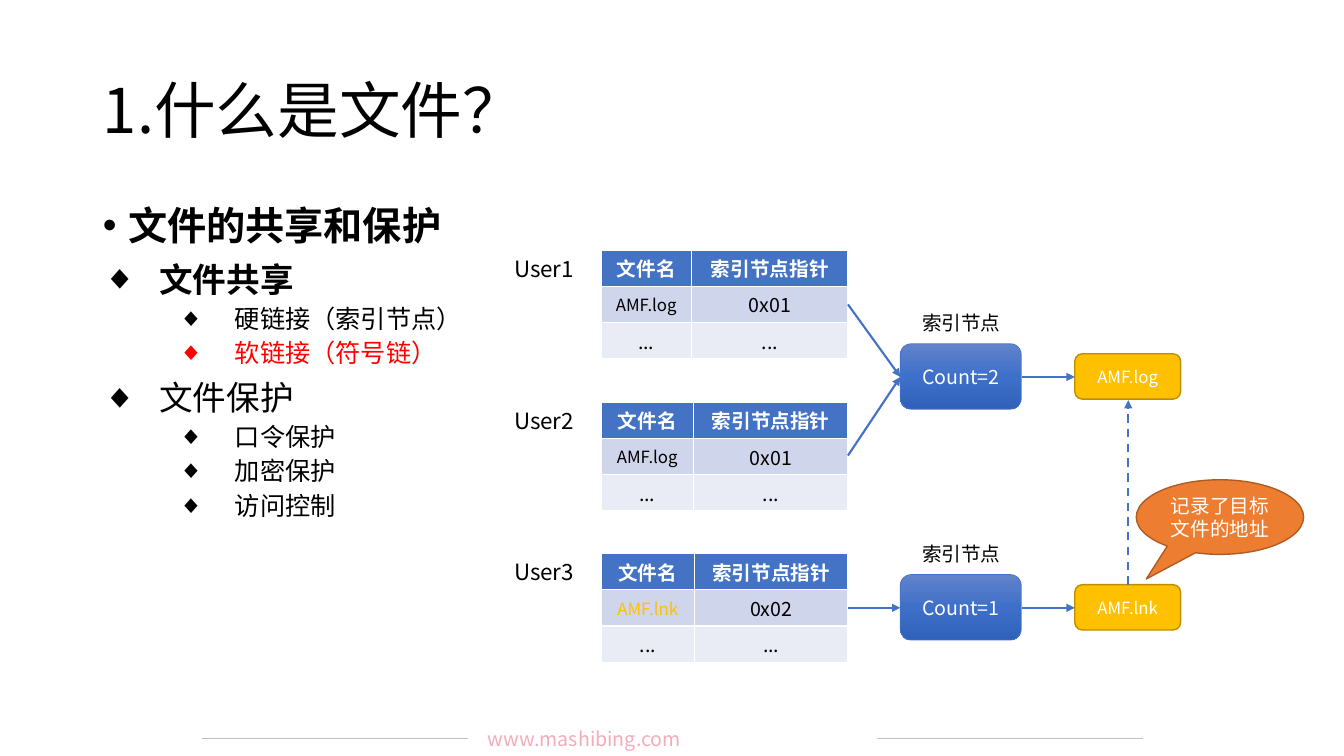
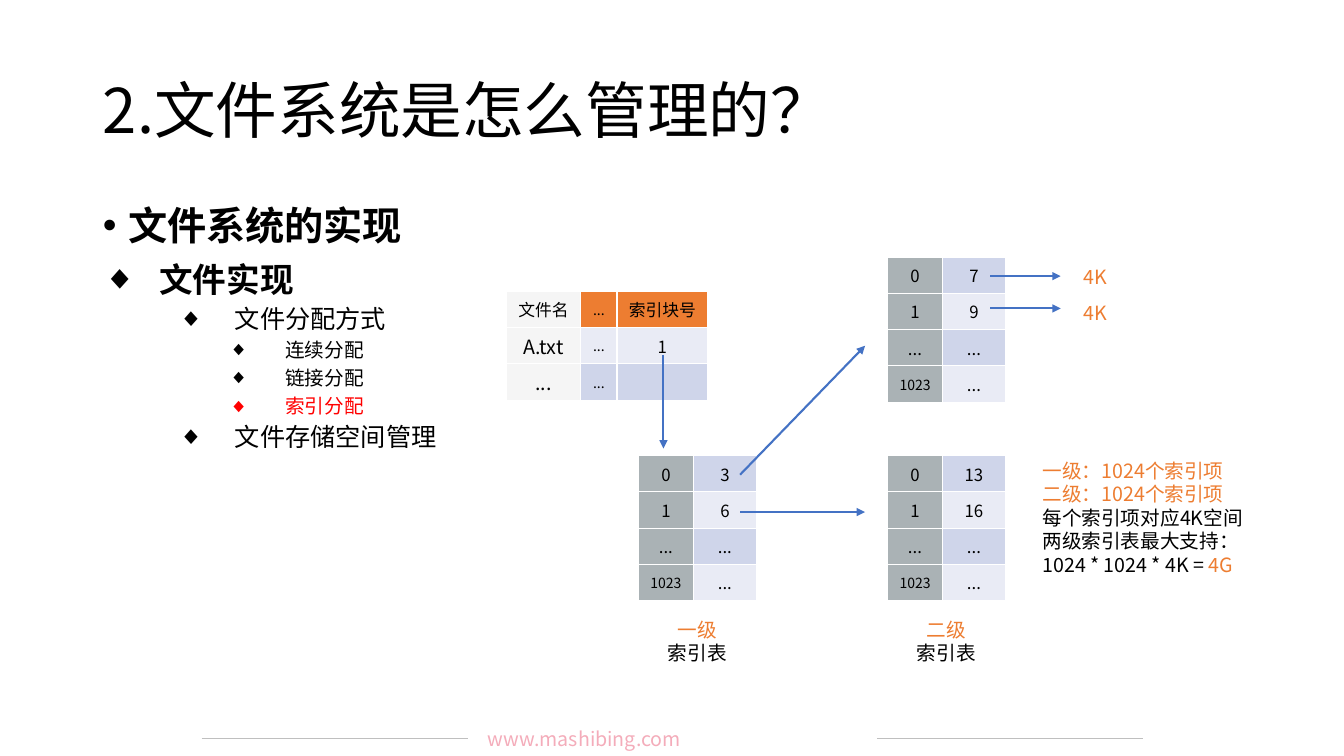
import copy
import lxml.etree
import pptx
import pptx.dml.color
import pptx.enum.dml
import pptx.enum.shapes
import pptx.enum.text
import pptx.oxml.ns
import pptx.util

FONT = "Noto Sans CJK SC"
HEX = {
    "black": "000000", "white": "FFFFFF", "red": "FF0000", "pink": "F4ACBA",
    "rule": "BFBFBF", "blue": "4472C4", "gold": "FFC000", "ochre": "BD8E00",
    "rust": "ED7D31", "brown": "AF5C24", "dark": "CFD5EA", "pale": "E9EBF5",
    "grey": "AAB2B5", "mist": "F5F5F5", "sky": "6183CB", "mid": "3E70CA",
    "deep": "3062BB",
}
ALIGN = pptx.enum.text.PP_ALIGN
SHAPE = pptx.enum.shapes.MSO_SHAPE
ROW = 0.36

# Content: lists hold (style, text, colour)
# style: level, size, bold, left indent, hanging indent, space before, bullet
STYLE = {
    "head": (0, 28, True, 0.25, 0.25, 10, "•"),
    "bold": (0, 24, True, 0.56, 0.56, 10, "◆"),
    "main": (1, 24, False, 0.56, 0.56, 10, "◆"),
    "sub": (1, 18, False, 1.31, 0.56, 5, "◆"),
    "leaf": (2, 14, False, 1.81, 0.56, 5, "◆"),
}
SHARE = [
    ("head", "文件的共享和保护", "black"),
    ("bold", "文件共享", "black"),
    ("sub", "硬链接（索引节点）", "black"),
    ("sub", "软链接（符号链）", "red"),
    ("main", "文件保护", "black"),
    ("sub", "口令保护", "black"),
    ("sub", "加密保护", "black"),
    ("sub", "访问控制", "black"),
]
BUILD = [
    ("head", "文件系统的实现", "black"),
    ("bold", "文件实现", "black"),
    ("sub", "文件分配方式", "black"),
    ("leaf", "连续分配", "black"),
    ("leaf", "链接分配", "black"),
    ("leaf", "索引分配", "red"),
    ("sub", "文件存储空间管理", "black"),
]
# user, top, first column width, file, colour, pointer
USERS = [
    ("User1", 2.48, 0.9, "AMF.log", "black", "0x01"),
    ("User2", 3.99, 0.92, "AMF.log", "black", "0x01"),
    ("User3", 5.49, 0.93, "AMF.lnk", "gold", "0x02"),
]
# count, file, middle height
NODES = [("Count=2", "AMF.log", 3.74), ("Count=1", "AMF.lnk", 6.03)]
# left, top, first two entries
INDEX = [(6.33, 4.52, "3", "6"), (8.8, 2.55, "7", "9"), (8.8, 4.52, "13", "16")]
LEVELS = [(6.49, "一级"), (8.96, "二级")]
LINKS = [
    (6.58, 3.52, 6.58, 4.45), (7.34, 4.71, 8.58, 3.43), (7.34, 5.08, 8.58, 5.08),
    (9.82, 2.74, 10.52, 2.74), (9.82, 3.06, 10.52, 3.06),
]
SUMS = [
    [("一级：1024个索引项", "rust")],
    [("二级：1024个索引项", "rust")],
    [("每个索引项对应4K空间", "black")],
    [("两级索引表最大支持：", "black")],
    [("1024 * 1024 * 4K = ", "black"), ("4G", "rust")],
]


def rgb(name):
    return pptx.dml.color.RGBColor.from_string(HEX[name])


def inch(*nums):
    return [pptx.util.Inches(n) for n in nums]


def tag(node, name, **attrs):
    return lxml.etree.SubElement(node, pptx.oxml.ns.qn(name), attrs)


def style(para, size, color, bold=False, align=ALIGN.LEFT):
    para.alignment = align
    font = para.font
    font.size, font.bold, font.name = pptx.util.Pt(size), bold, FONT
    font.color.rgb = rgb(color)
    tag(font._element if hasattr(font, "_element") else font._rPr, "a:ea", typeface=FONT)


def write(frame, lines, size, align=ALIGN.LEFT):
    """Each line is a list of (text, colour) runs."""
    frame.word_wrap = True
    for i, runs in enumerate(lines):
        para = frame.add_paragraph() if i else frame.paragraphs[0]
        style(para, size, runs[0][1], align=align)
        for text, color in runs:
            run = para.add_run()
            run.text = text
            if color != runs[0][1]:
                run.font.color.rgb = rgb(color)


def label(slide, box, lines, size=14, align=ALIGN.CENTER):
    shape = slide.shapes.add_textbox(*inch(*box))
    write(shape.text_frame, lines, size, align)
    return shape


def line(slide, ends, color="blue", width=1.5, arrow=True, dash=False):
    kind = pptx.enum.shapes.MSO_CONNECTOR.STRAIGHT
    link = slide.shapes.add_connector(kind, *inch(*ends))
    link.line.color.rgb = rgb(color)
    link.line.width = pptx.util.Pt(width)
    if dash:
        link.line.dash_style = pptx.enum.dml.MSO_LINE.DASH
    if arrow:
        tag(link.line._get_or_add_ln(), "a:tailEnd", type="triangle")
    tag(link.element.spPr, "a:effectLst")
    return link


def block(slide, kind, box, text, size, fill, edge, width=1):
    shape = slide.shapes.add_shape(kind, *inch(*box))
    shape.shadow.inherit = False
    if isinstance(fill, str):
        shape.fill.solid()
        shape.fill.fore_color.rgb = rgb(fill)
    else:
        shape.fill.gradient()
        shape.fill.gradient_angle = 270
        stops = shape.element.spPr.find(".//" + pptx.oxml.ns.qn("a:gsLst"))
        stops.insert(1, copy.deepcopy(stops[0]))
        for i, stop in enumerate(shape.fill.gradient_stops):
            stop.position = i / 2
            stop.color.rgb = rgb(fill[i])
    shape.line.color.rgb = rgb(edge)
    shape.line.width = pptx.util.Pt(width)
    shape.text_frame.vertical_anchor = pptx.enum.text.MSO_ANCHOR.MIDDLE
    write(shape.text_frame, [[(text, "white")]], size, ALIGN.CENTER)
    return shape


def grid(slide, left, top, cols, rows, head=False):
    """Each cell is (text, size, text colour, fill)."""
    box = inch(left, top, sum(cols), ROW * len(rows))
    table = slide.shapes.add_table(len(rows), len(cols), *box).table
    table.first_row, table.horz_banding = head, False
    for col, width in zip(table.columns, cols):
        col.width = pptx.util.Inches(width)
    for r, row in enumerate(rows):
        for c, (text, size, color, fill) in enumerate(row):
            cell = table.cell(r, c)
            cell.margin_top = cell.margin_bottom = 0
            cell.vertical_anchor = pptx.enum.text.MSO_ANCHOR.MIDDLE
            cell.fill.solid()
            cell.fill.fore_color.rgb = rgb(fill)
            para = cell.text_frame.paragraphs[0]
            para.text = text
            style(para, size, color, head and r == 0, ALIGN.CENTER)


def frame(layout):
    """Place the title and body once for all slides."""
    title, body = layout.placeholders[0], layout.placeholders[1]
    for part, box in ((title, (0.92, 0.4, 11.5, 1.45)), (body, (0.92, 2, 11.5, 5.1))):
        part.left, part.top, part.width, part.height = inch(*box)
    title.text_frame.vertical_anchor = pptx.enum.text.MSO_ANCHOR.MIDDLE


def footer(slide):
    """Draw the footer and hand it to the layout."""
    parts = [line(slide, (x, 7.33, x + 2.64, 7.33), "rule", 0.5, False) for x in (2, 8.7)]
    url = [[("www.mashibing.com", "pink")]]
    parts.append(label(slide, (4.74, 7.16, 3.85, 0.34), url, align=ALIGN.LEFT))
    for part in parts:
        slide.slide_layout.shapes.element.append(part.element)


def page(deck, title, items):
    slide = deck.slides.add_slide(deck.slide_layouts[1])
    head = slide.shapes.title.text_frame.paragraphs[0]
    head.text, head.line_spacing = title, 0.9
    style(head, 44, "black")
    body = slide.placeholders[1].text_frame
    for i, (kind, text, color) in enumerate(items):
        level, size, bold, left, hang, gap, mark = STYLE[kind]
        para = body.add_paragraph() if i else body.paragraphs[0]
        para.text, para.level, para.line_spacing = text, level, 0.9
        para.space_before = pptx.util.Pt(gap if i else 0)
        props = para._p.get_or_add_pPr()
        props.set("marL", str(pptx.util.Inches(left)))
        props.set("indent", str(-pptx.util.Inches(hang)))
        tag(props, "a:buChar", char=mark)
        style(para, size, color, bold)
    return slide


def share(slide):
    # User tables
    left, wide = 5.96, 2.45
    for user, top, col, name, color, ref in USERS:
        label(slide, (5, top, 0.88, 0.37), [[(user, "black")]], 16, ALIGN.LEFT)
        rows = [
            [(text, 14, "white", "blue") for text in ("文件名", "索引节点指针")],
            [(name, 12, color, "dark"), (ref, 14, "black", "dark")],
            [("...", 14, "black", "pale")] * 2,
        ]
        grid(slide, left, top, (col, wide - col), rows, True)
    # Index nodes and files
    for count, name, mid in NODES:
        label(slide, (8.99, mid - 0.7, 1.09, 0.34), [[("索引节点", "black")]])
        block(slide, SHAPE.ROUNDED_RECTANGLE, (8.93, mid - 0.33, 1.2, 0.65),
              count, 14, ("sky", "mid", "deep"), "blue", 0.5)
        block(slide, SHAPE.ROUNDED_RECTANGLE, (10.66, mid - 0.23, 1.05, 0.45),
              name, 12, "gold", "ochre")
        line(slide, (10.14, mid, 10.66, mid))
    # Pointers
    for start, end in ((3.02, 3.74), (4.52, 3.74), (6.03, 6.03)):
        line(slide, (left + wide, start, 8.93, end))
    line(slide, (11.19, 5.8, 11.19, 3.97), dash=True)
    note = block(slide, SHAPE.OVAL_CALLOUT, (11.27, 4.76, 1.66, 0.74),
                 "记录了目标文件的地址", 14, "rust", "brown")
    note.adjustments[0], note.adjustments[1] = -0.44, 0.83


def build(slide):
    # Directory
    rows = [
        [("文件名", 12, "black", "mist"), ("...", 10, "black", "rust"),
         ("索引块号", 12, "black", "rust")],
        [("A.txt", 14, "black", "mist"), ("...", 10, "black", "pale"),
         ("1", 12, "black", "pale")],
        [("...", 14, "black", "mist"), ("...", 10, "black", "dark"),
         ("", 12, "black", "dark")],
    ]
    grid(slide, 5.02, 2.89, (0.74, 0.36, 0.9), rows)
    # Index tables
    for left, top, first, second in INDEX:
        pairs = [("0", first), ("1", second), ("...", "..."), ("1023", "...")]
        rows = [
            [(key, 10 if key == "1023" else 12, "black", "grey"),
             (value, 12, "black", ("dark", "pale")[i % 2])]
            for i, (key, value) in enumerate(pairs)
        ]
        grid(slide, left, top, (0.55, 0.62), rows)
    for left, name in LEVELS:
        label(slide, (left, 6.08, 0.85, 0.57), [[(name, "rust")], [("索引表", "black")]])
    # Links, block sizes and sums
    for ends in LINKS:
        line(slide, ends)
    for i in range(2):
        label(slide, (10.52, 2.58 + ROW * i, 0.69, 0.34), [[("4K", "rust")]])
    label(slide, (10.24, 4.5, 2.31, 1.28), SUMS, align=ALIGN.LEFT)


def main():
    deck = pptx.Presentation()
    deck.slide_width, deck.slide_height = inch(13.33, 7.5)
    frame(deck.slide_layouts[1])
    one = page(deck, "1.什么是文件？", SHARE)
    footer(one)
    share(one)
    build(page(deck, "2.文件系统是怎么管理的？", BUILD))
    deck.save("out.pptx")


if __name__ == "__main__":
    main()
